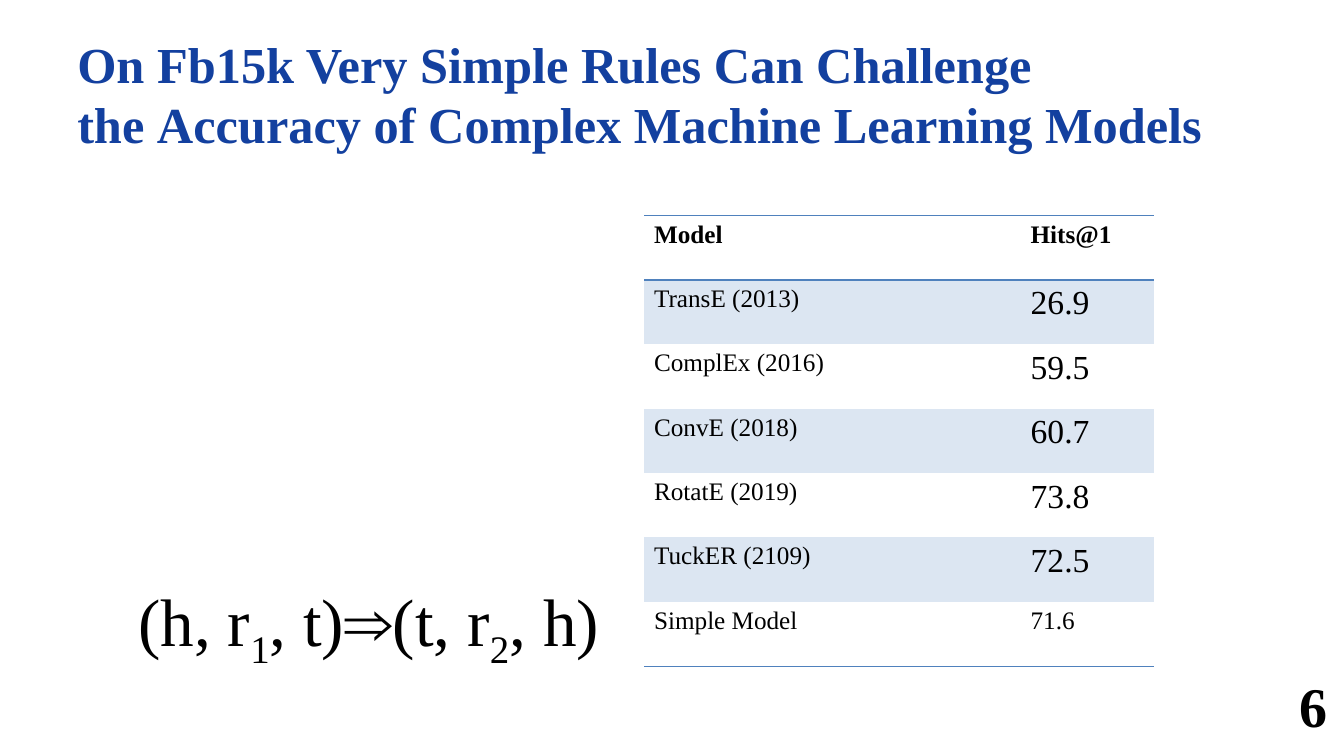
"""Build the slide comparing a simple rule model with learned models on Fb15k."""
from lxml.etree import SubElement
from pptx import Presentation
from pptx.dml.color import RGBColor
from pptx.enum.text import MSO_ANCHOR, MSO_AUTO_SIZE, PP_ALIGN
from pptx.oxml import parse_xml
from pptx.oxml.ns import nsdecls, qn
from pptx.util import Pt

COLORS = {"title": "13409F", "text": "000000", "rule": "4F81BD", "band": "DCE6F2"}
FONT = "Times New Roman"
NBSP = chr(160)
NO_STYLE_NO_GRID = "{2D5ABB26-0587-4C30-8999-92F81FD0307C}"


def write(frame, *pieces, size=18, bold=False, color="text", align=PP_ALIGN.LEFT):
    """Write pieces into the first paragraph, every second one as a subscript."""
    paragraph = frame.paragraphs[0]
    paragraph.alignment = align
    for index, piece in enumerate(pieces):
        run = paragraph.add_run()
        run.text = piece
        run.font.name = FONT
        run.font.size = Pt(size)
        run.font.bold = bold
        run.font.color.rgb = RGBColor.from_string(COLORS[color])
        if index % 2:
            run.font._element.set("baseline", "-25000")
    return paragraph


def add_rule(cell, side):
    """Draw a one-point line on the given side of a cell."""
    line = parse_xml(f'<a:{side} {nsdecls("a")} w="12700"/>')
    fill = SubElement(line, qn("a:solidFill"))
    SubElement(fill, qn("a:srgbClr"), val=COLORS["rule"])
    properties = cell._tc.get_or_add_tcPr()
    properties.insert(len(properties.findall(qn("a:lnT"))), line)


presentation = Presentation()
presentation.slide_width = Pt(960)
presentation.slide_height = Pt(540)
slide = presentation.slides.add_slide(presentation.slide_layouts[5])

title = slide.shapes.title
title.left, title.top, title.width, title.height = Pt(48), Pt(21.6), Pt(864), Pt(90)
title.text_frame.word_wrap = True
title.text_frame.auto_size = MSO_AUTO_SIZE.NONE
title.text_frame.vertical_anchor = MSO_ANCHOR.MIDDLE
write(
    title.text_frame,
    "On Fb15k Very Simple Rules Can Challenge "
    f"the{NBSP}Accuracy of Complex Machine Learning Models",
    size=36, bold=True, color="title",
)

page_number = slide.shapes.add_textbox(Pt(842.4), Pt(476), Pt(113), Pt(53.3)).text_frame
page_number.word_wrap = True
write(page_number, "6", size=40, bold=True, align=PP_ALIGN.RIGHT)

results = [
    ("Model", "Hits@1"),
    ("TransE (2013)", "26.9"),
    ("ComplEx (2016)", "59.5"),
    ("ConvE (2018)", "60.7"),
    ("RotatE (2019)", "73.8"),
    ("TuckER (2109)", "72.5"),
    ("Simple Model", "71.6"),
]
last_row = len(results) - 1
scores = slide.shapes.add_table(
    len(results), 2, Pt(460), Pt(154), Pt(364), Pt(46 * len(results))
).table
scores._tbl.tblPr.find(qn("a:tableStyleId")).text = NO_STYLE_NO_GRID
scores.first_row = False
scores.horz_banding = False
scores.columns[0].width = Pt(269)
scores.columns[1].width = Pt(95)

for row, entries in enumerate(results):
    for column, entry in enumerate(entries):
        cell = scores.cell(row, column)
        large = column == 1 and 0 < row < last_row
        write(cell.text_frame, entry, size=24 if large else 18, bold=row == 0)
        if row % 2:
            cell.fill.solid()
            cell.fill.fore_color.rgb = RGBColor.from_string(COLORS["band"])
        else:
            cell.fill.background()
        if row == 0:
            add_rule(cell, "lnT")
        if row in (0, last_row):
            add_rule(cell, "lnB")

rule_formula = slide.shapes.add_textbox(Pt(41), Pt(410.4), Pt(396.7), Pt(65.5)).text_frame
rule_formula.word_wrap = True
rule_formula.auto_size = MSO_AUTO_SIZE.SHAPE_TO_FIT_TEXT
formula_line = write(
    rule_formula, "(h, r", "1", ", t)⇒(t, r", "2", ", h)", size=48, align=PP_ALIGN.CENTER
)
formula_line._p.get_or_add_pPr().set("marL", str(Pt(48)))

presentation.save("out.pptx")
